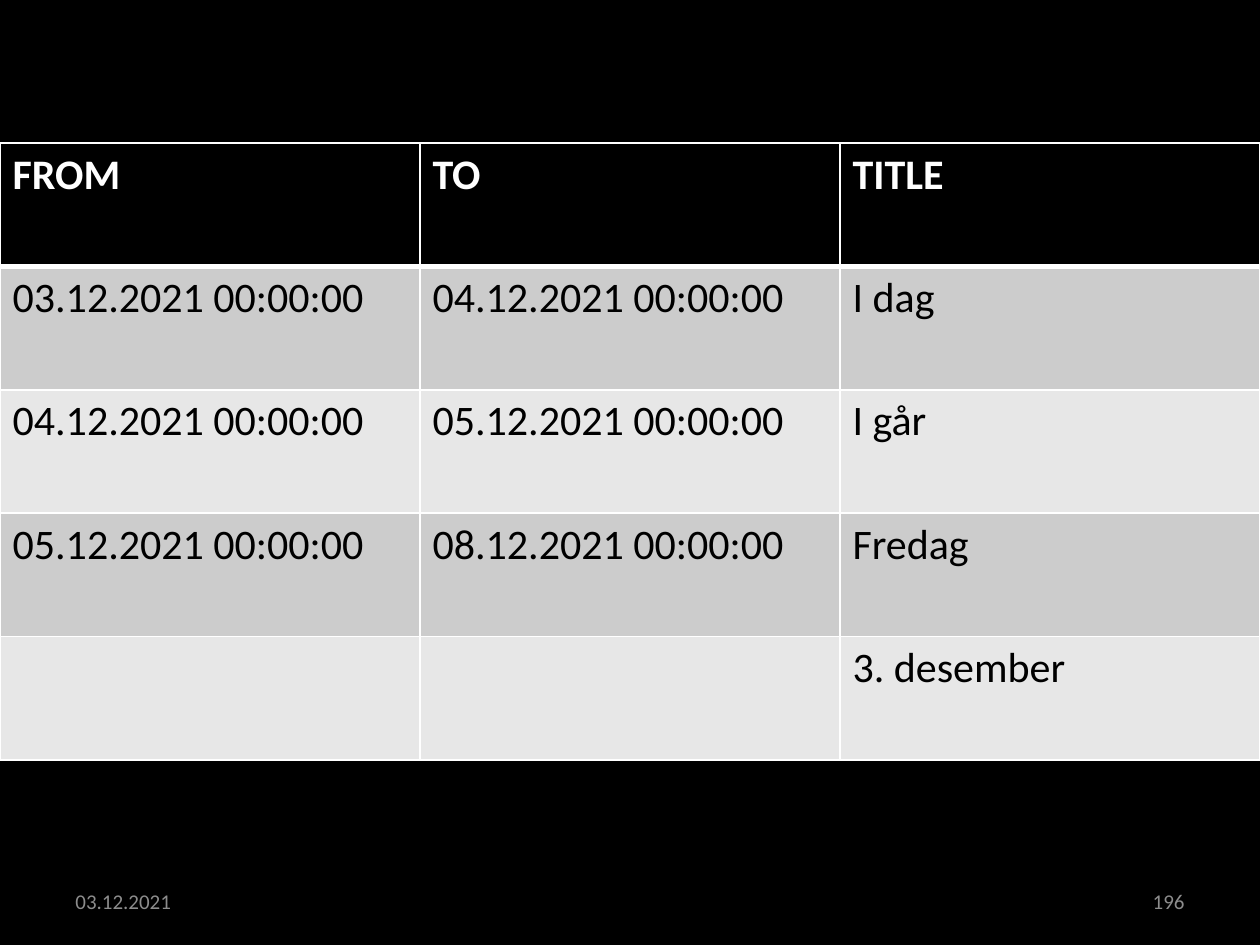
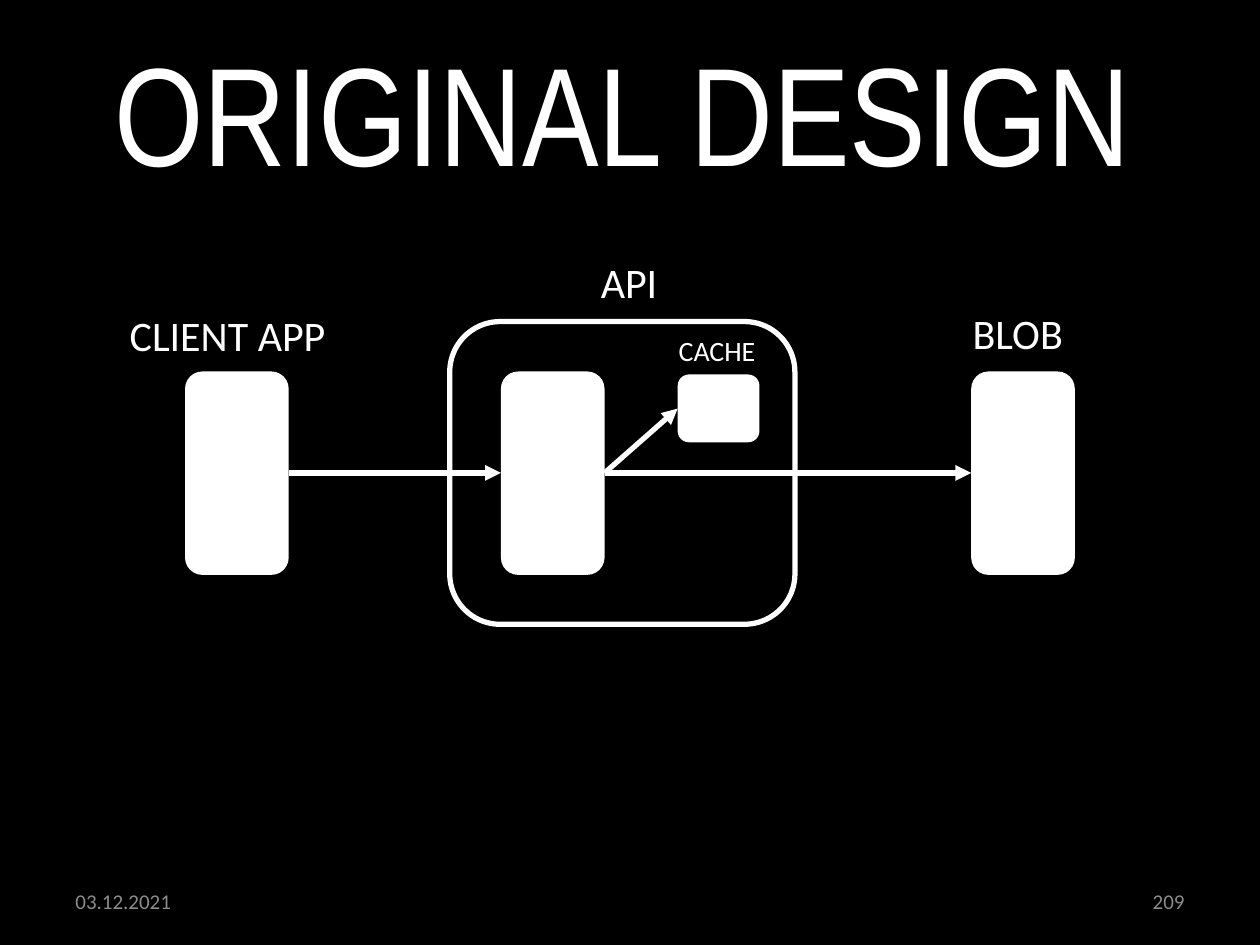
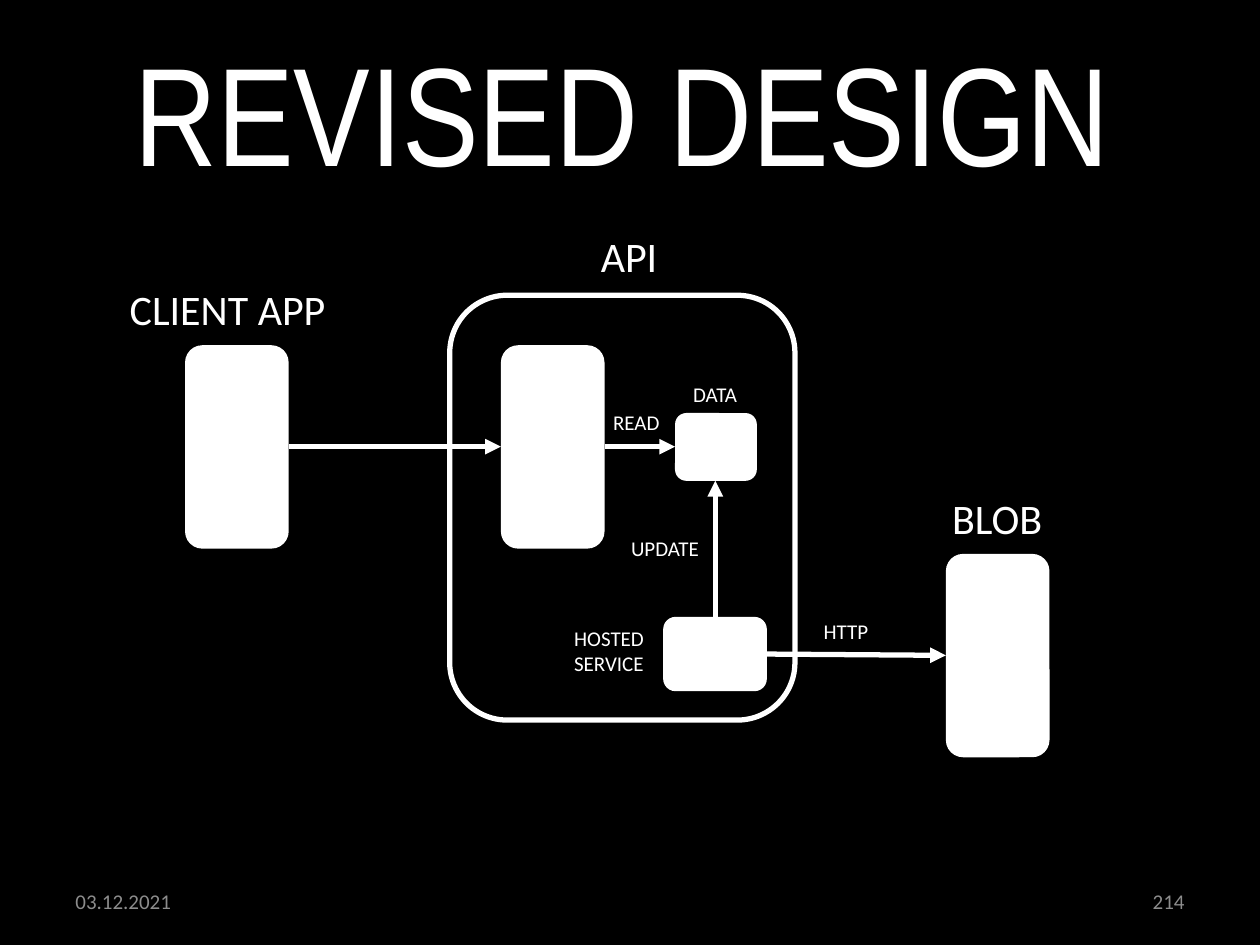
"""Build a table slide and two design diagrams on black."""
import pptx
import pptx.util
import pptx.dml.color
import pptx.enum.shapes
import pptx.enum.text
import pptx.oxml
import pptx.oxml.ns

Pt = pptx.util.Pt
RGB = pptx.dml.color.RGBColor
Shape = pptx.enum.shapes.MSO_SHAPE
Line = pptx.enum.shapes.MSO_CONNECTOR
Anchor = pptx.enum.text.MSO_ANCHOR
Align = pptx.enum.text.PP_ALIGN
Fit = pptx.enum.text.MSO_AUTO_SIZE

BLACK = RGB(0, 0, 0)
WHITE = RGB(255, 255, 255)
GREY = RGB(0x8C, 0x8C, 0x8C)
DARK = RGB(0xCC, 0xCC, 0xCC)
LIGHT = RGB(0xE7, 0xE7, 0xE7)
NS = pptx.oxml.ns.nsdecls("a")


def style(frame, size, color, font="Calibri", bold=False):
    """Format every run of a text frame."""
    for para in frame.paragraphs:
        for run in para.runs:
            run.font.size = Pt(size)
            run.font.name = font
            run.font.bold = bold
            run.font.color.rgb = color


def write(slide, text, place, size, color=WHITE):
    """Add a text box and return its frame."""
    frame = slide.shapes.add_textbox(*map(Pt, place)).text_frame
    frame.text = text
    frame.word_wrap = False
    style(frame, size, color)
    return frame


deck = pptx.Presentation()
deck.slide_width = Pt(720)
deck.slide_height = Pt(540)
back = deck.slide_master.background.fill
back.solid()
back.fore_color.rgb = BLACK

pages = []
for number, layout in (("196", 6), ("209", 5), ("214", 5)):
    slide = deck.slides.add_slide(deck.slide_layouts[layout])
    pages.append(slide)
    for text, left, align in (("03.12.2021", 36, Align.LEFT), (number, 516, Align.RIGHT)):
        foot = write(slide, text, (left, 500.5, 168, 28.75), 12, GREY)
        foot.word_wrap = True
        foot.vertical_anchor = Anchor.MIDDLE
        foot.paragraphs[0].alignment = align

rows = [
    ("FROM", "TO", "TITLE"),
    ("03.12.2021 00:00:00", "04.12.2021 00:00:00", "I dag"),
    ("04.12.2021 00:00:00", "05.12.2021 00:00:00", "I går"),
    ("05.12.2021 00:00:00", "08.12.2021 00:00:00", "Fredag"),
    ("", "", "3. desember"),
]
place = (0, 81.75, 720, 352.5)
table = pages[0].shapes.add_table(len(rows), 3, *map(Pt, place)).table
for r, row in enumerate(rows):
    for c, text in enumerate(row):
        cell = table.cell(r, c)
        cell.text = text
        style(cell.text_frame, 24, BLACK if r else WHITE, bold=r == 0)
        props = cell._tc.get_or_add_tcPr()
        for side in "LRTB":
            thick = (r, side) in ((0, "B"), (1, "T"))
            props.append(pptx.oxml.parse_xml(
                f'<a:ln{side} {NS} w="{Pt(3 if thick else 1)}"><a:solidFill>'
                f'<a:srgbClr val="{WHITE}"/></a:solidFill></a:ln{side}>'))
        cell.fill.solid()
        cell.fill.fore_color.rgb = (DARK if r % 2 else LIGHT) if r else BLACK

TALL = (59.25, 116.25)
SMALL = (46.75, 38.75)
designs = [
    {
        "title": "ORIGINAL DESIGN",
        "top": 212.25,
        "frame": 173,
        "boxes": [(555, 212.25, *TALL), (387.25, 214, *SMALL)],
        "labels": [("BLOB", 548.75, 172, 66, 36, 24), ("CACHE", 380.75, 187.25, 59, 26.5, 16)],
        "lines": [(345.5, 270.25, 555, 270.25), (345.5, 270.25, 387.25, 233.5)],
    },
    {
        "title": "REVISED DESIGN",
        "top": 197.25,
        "frame": 242.75,
        "boxes": [(540.5, 316.5, *TALL), (385.75, 236, *SMALL), (379, 352.5, 59.25, 42.5)],
        "labels": [
            ("BLOB", 537, 278, 66, 36, 24),
            ("READ", 343.25, 230.5, 42, 21.75, 12),
            ("HOSTED\nSERVICE", 321, 353.75, 57.5, 36, 12),
            ("UPDATE", 353.5, 302.75, 54, 21.75, 12),
            ("HTTP", 463.5, 350, 40, 21.75, 12),
            ("DATA", 389, 214.5, 40, 21.75, 12),
        ],
        "lines": [
            (345.5, 255.25, 385.75, 255.25),
            (438.25, 373.75, 540.5, 374.5),
            (408.75, 352.5, 408.75, 274.75),
        ],
    },
]
for slide, plan in zip(pages[1:], designs):
    title = slide.shapes.title
    title.left, title.top, title.width, title.height = map(Pt, (-4, 11.5, 720, 49))
    head = title.text_frame
    head.text = plan["title"]
    head.auto_size = Fit.NONE
    head.word_wrap = True
    head.vertical_anchor = Anchor.TOP
    head.paragraphs[0].alignment = Align.CENTER
    style(head, 80, WHITE, "Arial Narrow")

    top = plan["top"]
    frame = (257, top - 28.5, 197.25, plan["frame"])
    boxes = [(105.75, top, *TALL), (286.25, top, *TALL)] + plan["boxes"]
    for place in boxes + [frame]:
        box = slide.shapes.add_shape(Shape.ROUNDED_RECTANGLE, *map(Pt, place))
        box.shadow.inherit = False
        if place == frame:
            box.fill.background()
            box.line.color.rgb = WHITE
            box.line.width = Pt(3)
        else:
            box.fill.solid()
            box.fill.fore_color.rgb = WHITE
            box.line.fill.background()

    labels = [("CLIENT APP", 67, top - 38.75, 127.5, 36, 24),
              ("API", 336.25, top - 69, 47, 36, 24)]
    for text, *place, size in labels + plan["labels"]:
        write(slide, text, place, size)

    for ends in [(165, top + 58, 286.25, top + 58)] + plan["lines"]:
        arrow = slide.shapes.add_connector(Line.STRAIGHT, *map(Pt, ends))
        arrow.line.color.rgb = WHITE
        arrow.line.width = Pt(3)
        tip = pptx.oxml.parse_xml(f'<a:tailEnd {NS} type="triangle"/>')
        arrow.line._get_or_add_ln().append(tip)
        arrow._element.spPr.append(pptx.oxml.parse_xml(f"<a:effectLst {NS}/>"))

deck.save("out.pptx")
